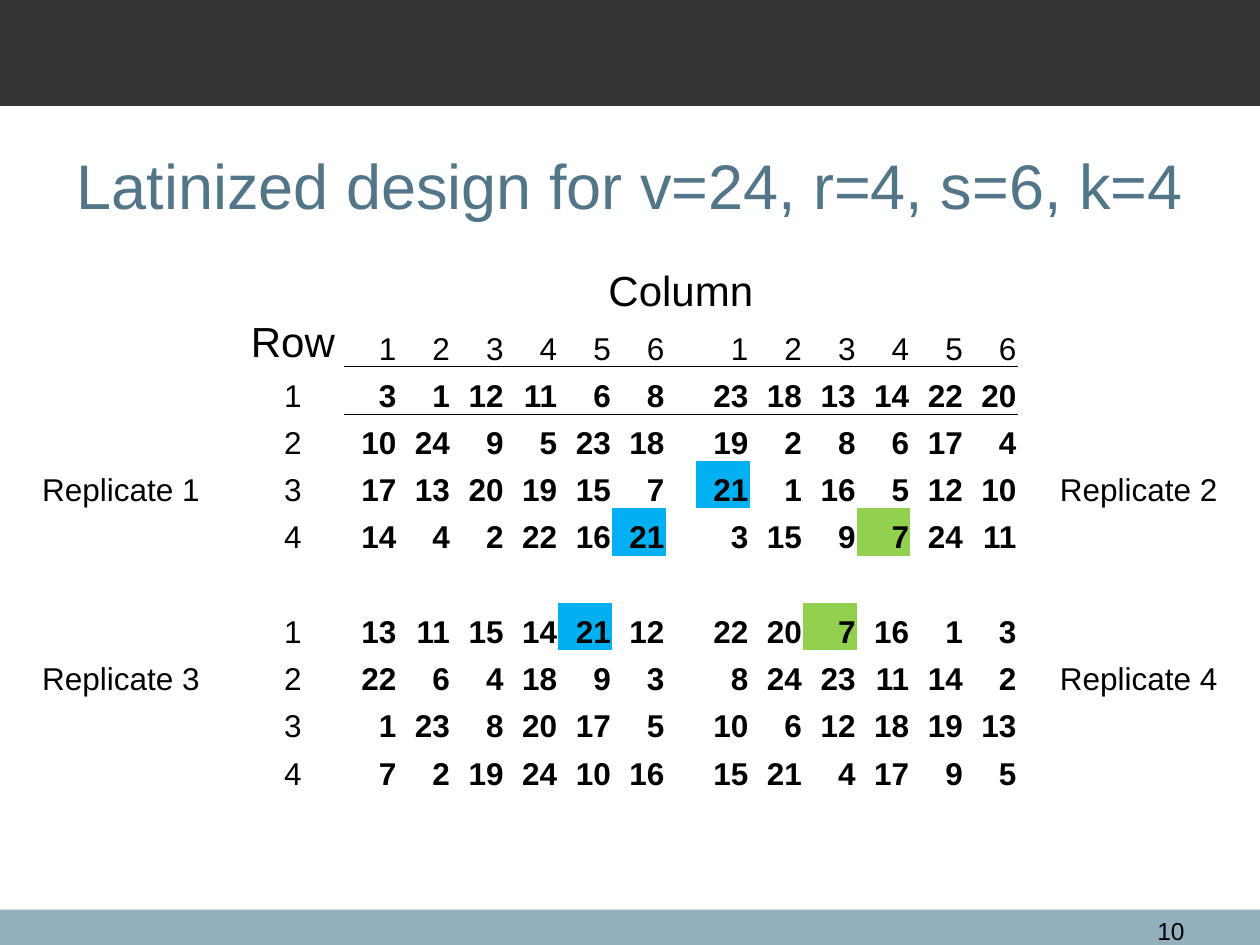
from lxml.etree import SubElement
from pptx import Presentation
from pptx.dml.color import RGBColor
from pptx.enum.shapes import MSO_SHAPE as Shape
from pptx.enum.text import MSO_ANCHOR as Anchor, PP_ALIGN as Align
from pptx.oxml.ns import qn
from pptx.util import Inches, Pt

BLACK = RGBColor(0x00, 0x00, 0x00)
CHARCOAL = RGBColor(0x33, 0x33, 0x33)
STEEL = RGBColor(0x94, 0xB0, 0xBE)
TITLE_BLUE = RGBColor(0x52, 0x76, 0x88)
SKY = RGBColor(0x00, 0xB0, 0xF0)
GREEN = RGBColor(0x92, 0xD0, 0x50)
FONT = "Arial"
NO_STYLE = "{2D5ABB26-0587-4C30-8999-92F81FD0307C}"

WIDTH, HEIGHT = 10, 7.5
SIDE, ROW_LABEL, GAP = 1.92, 0.81, 0.24
TREATMENT = (WIDTH - 2 * SIDE - ROW_LABEL - GAP) / 12
COLUMNS = [SIDE, ROW_LABEL] + [TREATMENT] * 6 + [GAP] + [TREATMENT] * 6 + [SIDE]
ROW_COUNT = 12
LEFT_BLOCK, RIGHT_BLOCK, LAST = 2, 9, 15
HEADER_ROW = 1

# Each replicate: first table row, first column, label column, label row, treatments
REPLICATES = [
    (2, LEFT_BLOCK, 0, 2, [[3, 1, 12, 11, 6, 8], [10, 24, 9, 5, 23, 18],
                           [17, 13, 20, 19, 15, 7], [14, 4, 2, 22, 16, 21]]),
    (2, RIGHT_BLOCK, LAST, 2, [[23, 18, 13, 14, 22, 20], [19, 2, 8, 6, 17, 4],
                               [21, 1, 16, 5, 12, 10], [3, 15, 9, 7, 24, 11]]),
    (7, LEFT_BLOCK, 0, 1, [[13, 11, 15, 14, 21, 12], [22, 6, 4, 18, 9, 3],
                           [1, 23, 8, 20, 17, 5], [7, 2, 19, 24, 10, 16]]),
    (7, RIGHT_BLOCK, LAST, 1, [[22, 20, 7, 16, 1, 3], [8, 24, 23, 11, 14, 2],
                               [10, 6, 12, 18, 19, 13], [15, 21, 4, 17, 9, 5]]),
]
HIGHLIGHTS = {(4, 9): SKY, (5, 7): SKY, (7, 6): SKY, (5, 12): GREEN, (7, 11): GREEN}


def style_text(para, text, size, color=BLACK, align=Align.LEFT, bold=False):
    span = para.add_run()
    span.text = text
    para.alignment = align
    for font in (para.font, span.font):
        font.name, font.size, font.bold = FONT, Pt(size), bold
        font.color.rgb = color


def add_band(page, top, height, color):
    band = page.shapes.add_shape(Shape.RECTANGLE, 0, Inches(top), Inches(WIDTH), Inches(height))
    band.shadow.inherit = False
    band.fill.solid()
    band.fill.fore_color.rgb = color
    band.line.fill.background()


def add_label(page, box, text, size, color, align, anchor):
    label = page.shapes.add_textbox(*map(Inches, box))
    frame = label.text_frame
    frame.word_wrap = True
    frame.vertical_anchor = anchor
    style_text(frame.paragraphs[0], text, size, color, align)


def add_border(cell, side):
    properties = cell._tc.get_or_add_tcPr()
    line = properties.makeelement(qn(f"a:{side}"), {"w": str(Pt(0.5))})
    properties.insert(0, line)
    fill = SubElement(line, qn("a:solidFill"))
    SubElement(fill, qn("a:srgbClr"), val=str(BLACK))


def write_cell(table, row, column, value, size=18, align=Align.CENTER, bold=False):
    para = table.cell(row, column).text_frame.paragraphs[0]
    style_text(para, str(value), size, BLACK, align, bold)


def add_design_table(page, left, top, width, height):
    frame = page.shapes.add_table(ROW_COUNT, len(COLUMNS), *map(Inches, (left, top, width, height)))
    table = frame.table
    table.first_row = table.horz_banding = False
    table._tbl.tblPr.find(qn("a:tableStyleId")).text = NO_STYLE
    for column, share in zip(table.columns, COLUMNS):
        column.width = Inches(share * width / WIDTH)
    for row in table.rows:
        row.height = Inches(height / ROW_COUNT)

    # Cell margins, fills and the rule under the column numbers
    for row in range(ROW_COUNT):
        for column in range(len(COLUMNS)):
            cell = table.cell(row, column)
            cell.margin_left = cell.margin_right = cell.margin_top = Inches(0.01)
            cell.margin_bottom = 0
            cell.vertical_anchor = Anchor.BOTTOM
            if (row, column) in HIGHLIGHTS:
                cell.fill.solid()
                cell.fill.fore_color.rgb = HIGHLIGHTS[row, column]
            else:
                cell.fill.background()
            if LEFT_BLOCK <= column < LAST and row in (HEADER_ROW, HEADER_ROW + 1):
                add_border(cell, "lnB" if row == HEADER_ROW else "lnT")

    # Headings
    table.cell(0, LEFT_BLOCK).merge(table.cell(0, LAST - 1))
    write_cell(table, 0, LEFT_BLOCK, "Column", 24)
    write_cell(table, HEADER_ROW, 1, "Row", 24)
    for start in (LEFT_BLOCK, RIGHT_BLOCK):
        for number in range(6):
            write_cell(table, HEADER_ROW, start + number, number + 1, align=Align.RIGHT)

    # Replicates
    for index, (first, start, side, label_row, treatments) in enumerate(REPLICATES, 1):
        write_cell(table, first + label_row, side, f"Replicate {index}")
        for offset, values in enumerate(treatments):
            if start == LEFT_BLOCK:
                write_cell(table, first + offset, 1, offset + 1)
            for number, value in enumerate(values):
                write_cell(table, first + offset, start + number, value,
                           align=Align.RIGHT, bold=True)


deck = Presentation()
deck.slide_width, deck.slide_height = Inches(WIDTH), Inches(HEIGHT)
page = deck.slides.add_slide(deck.slide_layouts[6])

# Bands, title and page number
add_band(page, 7.22, 0.28, STEEL)
add_band(page, 0, 0.84, CHARCOAL)
add_label(page, (0.51, 0.84, 9, 1.25), "Latinized design for v=24, r=4, s=6, k=4",
          36, TITLE_BLUE, Align.LEFT, Anchor.MIDDLE)
add_label(page, (0.86 * WIDTH + 0.26, 7.22, 0.64, 0.24), "10", 14, BLACK, Align.RIGHT, Anchor.TOP)

add_design_table(page, 0, 2.09, WIDTH, 4.5)
deck.save("out.pptx")
